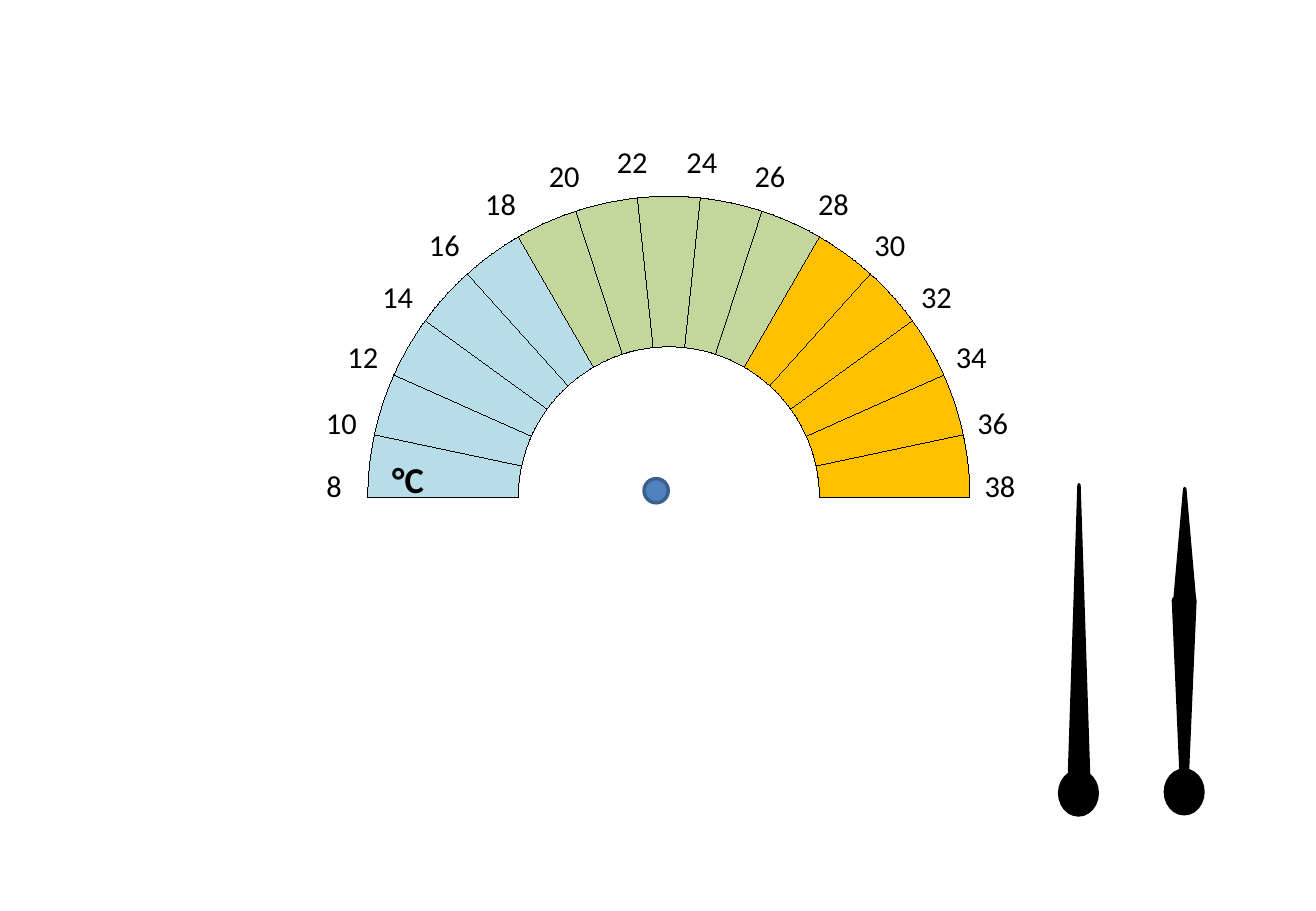
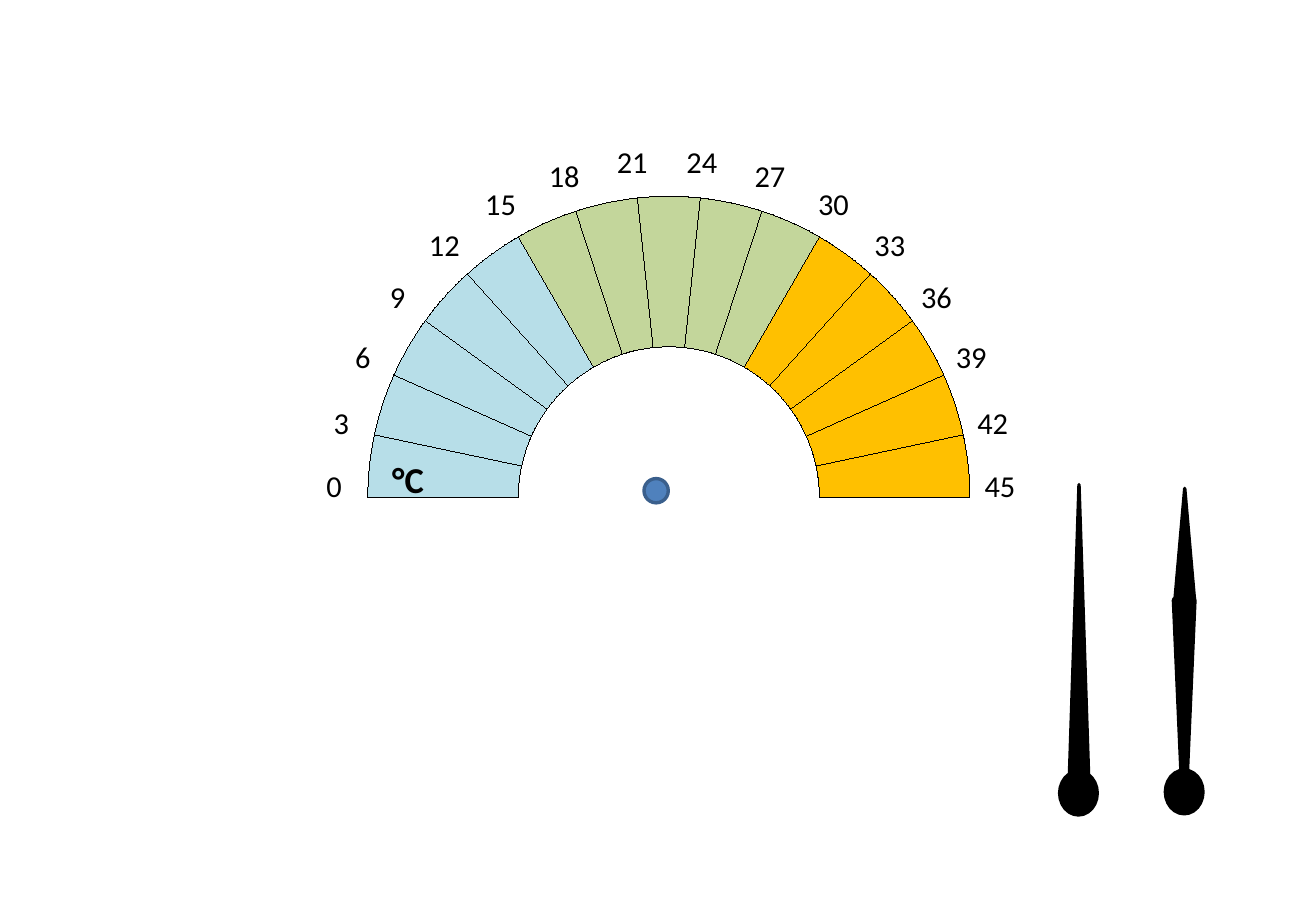
from math import cos, radians, sin

from lxml.etree import SubElement
from pptx import Presentation
from pptx.chart.data import CategoryChartData
from pptx.dml.color import RGBColor
from pptx.enum.chart import XL_CHART_TYPE
from pptx.enum.shapes import MSO_SHAPE
from pptx.enum.text import MSO_ANCHOR, PP_ALIGN
from pptx.oxml.ns import qn
from pptx.util import Inches, Pt

COLORS = {
    "cold": "B7DEE8",
    "mild": "C3D69B",
    "hot": "FFC000",
    "hub": "4F81BD",
    "hub_line": "3A5F8C",
    "ink": "000000",
}
RGB = {name: RGBColor.from_string(value) for name, value in COLORS.items()}
FONT = "Calibri"

# Square grid: 75 rows and 108.3 columns
prs = Presentation()
prs.slide_width, prs.slide_height = Inches(10.83), Inches(7.5)
CELL = prs.slide_height / 75

# Half a dial has 15 slices; clockwise from 12 o'clock, the lower half is hidden
SLICES = 30
START_ANGLE = 6
STEP = 360 / SLICES
ZONES = ["mild"] * 2 + ["hot"] * 5 + [None] * 15 + ["cold"] * 5 + ["mild"] * 3

# Ring of scale labels, in cells
RING_X, RING_Y, RING_R = 54.9, 40.5, 27.4
LABEL_W, LABEL_H = 4.6, 4
LABEL_LOWEST = 40

# Needles: (shape, left, top, width, height, rotation, line width)
NEEDLES = [
    [
        (MSO_SHAPE.ISOSCELES_TRIANGLE, 88, 39.9, 1.6, 24.2, 0, 2),
        (MSO_SHAPE.OVAL, 87.2, 63.5, 3.1, 3.6, 0, 2),
    ],
    [
        (MSO_SHAPE.ISOSCELES_TRIANGLE, 96.7, 40.2, 1.6, 9.1, 0, 2),
        (MSO_SHAPE.ISOSCELES_TRIANGLE, 96.7, 49.4, 1.5, 17.1, 180, 4),
        (MSO_SHAPE.OVAL, 95.9, 63.4, 3.1, 3.6, 0, 2),
    ],
]


def cells(*values):
    return [round(v * CELL) for v in values]


def set_layout(parent, index, **fractions):
    """Place a chart part by hand, in fractions of the chart's size."""
    for old in parent.findall(qn("c:layout")):
        parent.remove(old)
    layout = SubElement(parent, qn("c:layout"))
    parent.insert(index, layout)
    manual = SubElement(layout, qn("c:manualLayout"))
    if "w" in fractions:
        SubElement(manual, qn("c:layoutTarget")).set("val", "inner")
    for axis in ("x", "y"):
        SubElement(manual, qn(f"c:{axis}Mode")).set("val", "edge")
    for key, value in fractions.items():
        SubElement(manual, qn(f"c:{key}")).set("val", str(value))


# (first value, step) of each scale
for first, step in [(8, 2), (0, 3)]:
    s = prs.slides.add_slide(prs.slide_layouts[6])

    # Dial
    data = CategoryChartData()
    data.categories = [str(i + 1) for i in range(SLICES)]
    data.add_series("Series 1", [3] * SLICES)
    chart = s.shapes.add_chart(
        XL_CHART_TYPE.DOUGHNUT, *cells(13.4, 8.5, 83.3, 59), data
    ).chart
    chart.has_legend = False
    chart.font.name, chart.font.size = FONT, Pt(18)
    chart.font.color.rgb = RGB["ink"]

    chart.has_title = True
    title = chart.chart_title
    r = title.text_frame.paragraphs[0].add_run()
    r.text = "°C"
    r.font.name, r.font.size, r.font.bold = FONT, Pt(21.6), True
    r.font.color.rgb = RGB["ink"]
    set_layout(title._element, 1, x=0.22, y=0.48)

    plot = chart.plots[0]
    plot.vary_by_categories = True
    ring = plot._element
    ring.find(qn("c:firstSliceAng")).set("val", str(START_ANGLE))
    ring.find(qn("c:holeSize")).set("val", "66")
    set_layout(ring.getparent(), 0, x=0.2, y=0.13, w=0.6, h=0.84)

    for i, zone in enumerate(ZONES):
        fmt = plot.series[0].points[i].format
        if zone is None:
            fmt.fill.background()
            fmt.line.fill.background()
        else:
            fmt.fill.solid()
            fmt.fill.fore_color.rgb = RGB[zone]
            fmt.line.color.rgb = RGB["ink"]
            fmt.line.width = Pt(0)

    # Scale labels, from left to right
    for i in range(SLICES // 2 + 1):
        angle = radians(180 - i * STEP)
        x = RING_X + RING_R * cos(angle)
        y = min(RING_Y - RING_R * sin(angle), LABEL_LOWEST)
        tf = s.shapes.add_textbox(
            *cells(x - LABEL_W / 2, y - LABEL_H / 2, LABEL_W, LABEL_H)
        ).text_frame
        tf.word_wrap = False
        tf.vertical_anchor = MSO_ANCHOR.MIDDLE
        p = tf.paragraphs[0]
        p.alignment = PP_ALIGN.CENTER
        r = p.add_run()
        r.text = str(first + i * step)
        r.font.name, r.font.size = FONT, Pt(18)
        r.font.color.rgb = RGB["ink"]

    # Hub
    hub = s.shapes.add_shape(MSO_SHAPE.OVAL, *cells(53, 39.4, 2, 2))
    hub.shadow.inherit = False
    hub.fill.solid()
    hub.fill.fore_color.rgb = RGB["hub"]
    hub.line.color.rgb = RGB["hub_line"]
    hub.line.width = Pt(2)

    # Needles to cut out
    for needle in NEEDLES:
        group = s.shapes.add_group_shape()
        for kind, left, top, width, height, rotation, line in needle:
            sp = group.shapes.add_shape(kind, *cells(left, top, width, height))
            sp.shadow.inherit = False
            sp.rotation = rotation
            sp.fill.solid()
            sp.fill.fore_color.rgb = RGB["ink"]
            sp.line.color.rgb = RGB["ink"]
            sp.line.width = Pt(line)

prs.save("out.pptx")
